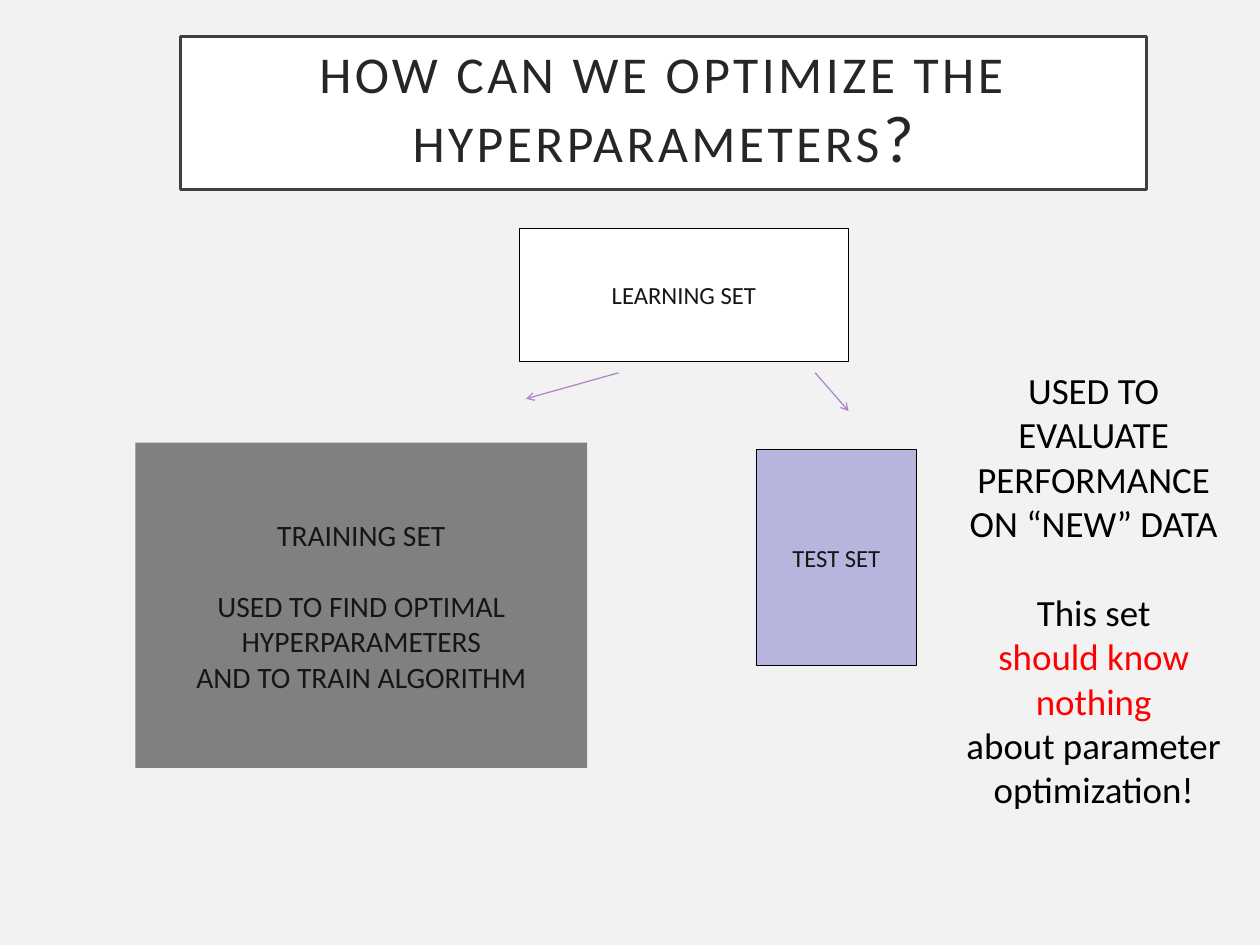
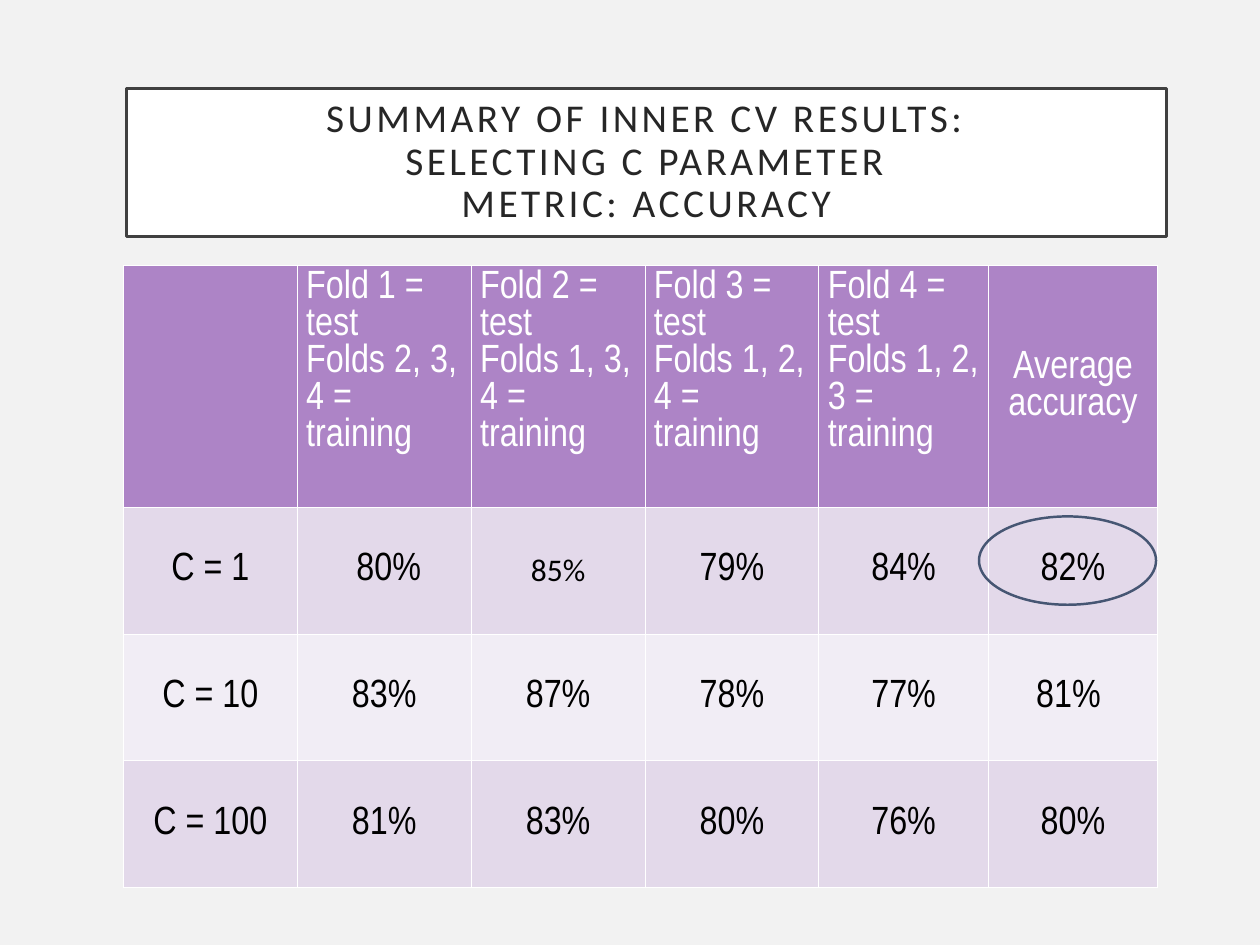
import pptx
import pptx.dml.color
import pptx.enum.shapes
import pptx.enum.text
import pptx.oxml.ns
import pptx.util

WIDTH, HEIGHT = 14.22, 10.67
BACK, WHITE, BLACK, RED = "F2F2F2", "FFFFFF", "000000", "FF0000"
FRAME, TITLE, INK = "404040", "262626", "151618"
PURPLE, LILAC, PALE, MIST = "AD84C6", "B7B5DD", "E3D9EA", "F1EDF5"
GREY, NAVY = "808080", "465673"
SANS, NARROW = "Calibri", "Arial Narrow"
SHAPE = pptx.enum.shapes.MSO_SHAPE
ALIGN = pptx.enum.text.PP_ALIGN
ANCHOR = pptx.enum.text.MSO_ANCHOR


def tint(code):
    return pptx.dml.color.RGBColor.from_string(code)


def across(share):
    return pptx.util.Inches(WIDTH * share / 100)


def down(share):
    return pptx.util.Inches(HEIGHT * share / 100)


def place(left, top, width, height):
    return across(left), down(top), across(width), down(height)


def add_run(para, text, size, ink, face=SANS, track=0):
    run = para.add_run()
    run.text = text
    run.font.size = pptx.util.Pt(size)
    run.font.name = face
    run.font.color.rgb = tint(ink)
    if track:
        run._r.get_or_add_rPr().set("spc", str(track))


def add_para(frame, first, align=ALIGN.CENTER, gap=0):
    para = frame.paragraphs[0] if first else frame.add_paragraph()
    para.alignment = align
    if gap:
        para.space_before = pptx.util.Pt(gap)
    return para


def set_frame(frame, side, edge):
    frame.word_wrap = True
    frame.margin_left = frame.margin_right = pptx.util.Inches(side)
    frame.margin_top = frame.margin_bottom = pptx.util.Inches(edge)


def add_lines(frame, lines, size):
    set_frame(frame, 0.14, 0.07)
    for index, (text, ink, gap) in enumerate(lines):
        add_run(add_para(frame, index == 0, gap=gap), text, size, ink)


def add_box(slide, spot, fill=None, line=None, weight=0.5, kind=SHAPE.RECTANGLE):
    shape = slide.shapes.add_shape(kind, *place(*spot))
    shape.shadow.inherit = False
    if fill:
        shape.fill.solid()
        shape.fill.fore_color.rgb = tint(fill)
    else:
        shape.fill.background()
    if line:
        shape.line.color.rgb = tint(line)
        shape.line.width = pptx.util.Pt(weight)
    else:
        shape.line.fill.background()
    shape.text_frame.vertical_anchor = ANCHOR.MIDDLE
    return shape


def add_title(slide, spot, rows):
    frame = add_box(slide, spot, WHITE, FRAME, 2.5).text_frame
    set_frame(frame, 0.2, 0.2)
    para = add_para(frame, True)
    para.line_spacing = 0.9
    for index, row in enumerate(rows):
        if index:
            para.add_line_break()
        for text, size in row:
            add_run(para, text, size, TITLE, track=280)


def add_arrow(slide, start, end):
    kind = pptx.enum.shapes.MSO_CONNECTOR.STRAIGHT
    arrow = slide.shapes.add_connector(
        kind, across(start[0]), down(start[1]), across(end[0]), down(end[1]))
    arrow.line.color.rgb = tint(PURPLE)
    arrow.line.width = pptx.util.Pt(1)
    tail = arrow.line._get_or_add_ln().makeelement(
        pptx.oxml.ns.qn("a:tailEnd"), {"type": "arrow"})
    arrow.line._get_or_add_ln().append(tail)
    props = arrow._element.spPr
    props.append(props.makeelement(pptx.oxml.ns.qn("a:effectLst"), {}))


def add_edges(cell):
    props = cell._tc.get_or_add_tcPr()
    for index, side in enumerate("LRTB"):
        edge = pptx.oxml.parse_xml(
            f'<a:ln{side} {pptx.oxml.ns.nsdecls("a")} w="12700"><a:solidFill>'
            f'<a:srgbClr val="{WHITE}"/></a:solidFill></a:ln{side}>')
        props.insert(index, edge)


def fill_cell(cell, lines, fill, ink, align, anchor, size=32, face=NARROW):
    cell.fill.solid()
    cell.fill.fore_color.rgb = tint(fill)
    cell.vertical_anchor = anchor
    for index, text in enumerate(lines):
        add_run(add_para(cell.text_frame, index == 0, align), text, size, ink, face)
    add_edges(cell)


def add_grid(slide, left, top, widths, heights, heads, rows):
    spot = place(left, top, sum(widths), sum(heights))
    table = slide.shapes.add_table(len(heights), len(widths), *spot).table
    for column, width in zip(table.columns, widths):
        column.width = across(width)
    for row, height in zip(table.rows, heights):
        row.height = down(height)
    last = len(heads) - 1
    for col, lines in enumerate(heads):
        align, anchor = ((ALIGN.CENTER, ANCHOR.MIDDLE) if col == last
                         else (ALIGN.LEFT, ANCHOR.TOP))
        fill_cell(table.cell(0, col), lines, PURPLE, WHITE, align, anchor)
    for index, row in enumerate(rows, 1):
        for col, text in enumerate(row):
            font = (25.6, SANS) if (index, col) == (1, 2) else (32, NARROW)
            fill_cell(table.cell(index, col), [text], PALE if index % 2 else MIST,
                      BLACK, ALIGN.CENTER, ANCHOR.MIDDLE, *font)


def add_slide(deck):
    slide = deck.slides.add_slide(deck.slide_layouts[6])
    slide.background.fill.solid()
    slide.background.fill.fore_color.rgb = tint(BACK)
    return slide


def draw_split(deck):
    slide = add_slide(deck)
    add_title(slide, (14.3, 3.85, 76.7, 16.2),
              [[("HOW CAN WE OPTIMIZE THE HYPERPARAMETERS", 42), ("?", 54)]])
    learn = add_box(slide, (41.2, 24.2, 26.15, 14.05), WHITE, BLACK)
    add_lines(learn.text_frame, [("LEARNING SET", INK, 0)], 20)
    train = add_box(slide, (10.75, 46.85, 35.85, 34.4), GREY)
    add_lines(train.text_frame, [
        ("TRAINING SET", INK, 0),
        ("USED TO FIND OPTIMAL HYPERPARAMETERS", INK, 29),
        ("AND TO TRAIN ALGORITHM", INK, 0)], 24)
    test = add_box(slide, (60, 47.6, 12.75, 22.85), LILAC, BLACK)
    add_lines(test.text_frame, [("TEST SET", INK, 0)], 20)
    note = slide.shapes.add_textbox(*place(75.55, 38.25, 22.5, 53.4))
    add_lines(note.text_frame, [
        ("USED TO", BLACK, 0),
        ("EVALUATE PERFORMANCE ON “NEW” DATA", BLACK, 0),
        ("This set", BLACK, 36.5),
        ("should know nothing", RED, 0),
        ("about parameter optimization!", BLACK, 0)], 30)
    add_arrow(slide, (49.1, 39.45), (41.75, 42.2))
    add_arrow(slide, (64.7, 39.45), (67.35, 43.5))


def draw_scores(deck):
    slide = add_slide(deck)
    add_title(slide, (10.05, 9.35, 82.5, 15.65), [
        [("SUMMARY OF INNER CV RESULTS:", 32)],
        [("SELECTING C PARAMETER", 32)],
        [("METRIC: ACCURACY", 32)]])
    folds = range(1, 5)
    heads = [[]]
    for fold in folds:
        rest = ", ".join(str(other) for other in folds if other != fold)
        heads.append([f"Fold {fold} = test", f"Folds {rest} = training"])
    heads.append(["Average", "accuracy"])
    add_grid(slide, 9.8, 28.1, [13.8] * 4 + [13.45] * 2, [25.6] + [13.4] * 3, heads, [
        ["C = 1", " 80%", "85%", "79%", "84%", "82%"],
        ["C = 10", "83%", "87%", "78%", "77%", "81% "],
        ["C = 100", "81%", "83%", "80%", "76%", "80%"]])
    add_box(slide, (77.7, 54.65, 14.05, 9.35), line=NAVY, weight=2, kind=SHAPE.OVAL)


def main():
    deck = pptx.Presentation()
    deck.slide_width = across(100)
    deck.slide_height = down(100)
    draw_split(deck)
    draw_scores(deck)
    deck.save("out.pptx")


if __name__ == "__main__":
    main()
